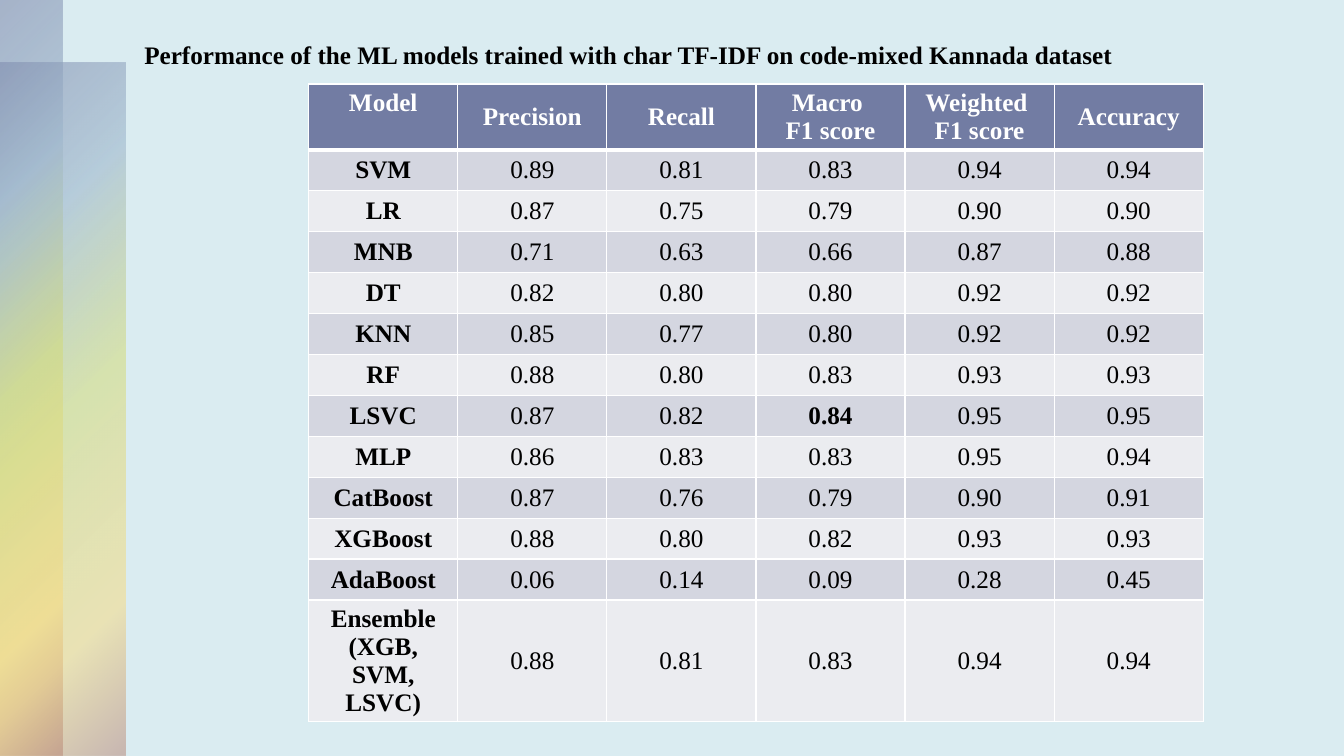
from dataclasses import dataclass
from typing import NamedTuple

from lxml import etree
from pptx import Presentation
from pptx.dml.color import RGBColor as Rgb
from pptx.enum.shapes import MSO_SHAPE as Shape
from pptx.enum.text import MSO_ANCHOR as Anchor, PP_ALIGN as Align
from pptx.oxml import parse_xml
from pptx.oxml.ns import qn
from pptx.slide import Slide
from pptx.table import _Cell as Cell
from pptx.text.text import TextFrame
from pptx.util import Emu, Pt

SCALE = 9525  # EMU in one px, 96 px to the inch
NS = "http://schemas.openxmlformats.org/drawingml/2006/main"


def px(n: int) -> Emu:
    return Emu(n * SCALE)


@dataclass(frozen=True)
class Theme:
    font: str = "Times New Roman"
    size: int = 18
    back: str = "DAECF1"
    ink: str = "000000"
    light: str = "FFFFFF"
    head: str = "727CA3"
    bands: tuple[str, str] = ("D4D6E0", "EBECF0")
    thin: int = 1
    thick: int = 3


class Box(NamedTuple):
    left: int
    top: int
    width: int
    height: int

    def emu(self) -> list[Emu]:
        return [px(n) for n in self]


class Stop(NamedTuple):
    place: int
    color: str
    alpha: int


class Bar(NamedTuple):
    box: Box
    mid: int  # place of the green stop


class Model(NamedTuple):
    name: str
    scores: str
    best: int = 0  # column set in bold


THEME = Theme()
BARS = [Bar(Box(0, 60, 119, 660), 50), Bar(Box(0, 0, 60, 720), 49)]
TITLE = "Performance of the ML models trained with char TF-IDF on code-mixed Kannada dataset"
HEADS = ["Model", "Precision", "Recall", "Macro \nF1 score", "Weighted \nF1 score", "Accuracy"]
MODELS = [
    Model("SVM", "0.89 0.81 0.83 0.94 0.94"),
    Model("LR", "0.87 0.75 0.79 0.90 0.90"),
    Model("MNB", "0.71 0.63 0.66 0.87 0.88"),
    Model("DT", "0.82 0.80 0.80 0.92 0.92"),
    Model("KNN", "0.85 0.77 0.80 0.92 0.92"),
    Model("RF", "0.88 0.80 0.83 0.93 0.93"),
    Model("LSVC", "0.87 0.82 0.84 0.95 0.95", best=3),
    Model("MLP", "0.86 0.83 0.83 0.95 0.94"),
    Model("CatBoost", "0.87 0.76 0.79 0.90 0.91"),
    Model("XGBoost", "0.88 0.80 0.82 0.93 0.93"),
    Model("AdaBoost", "0.06 0.14 0.09 0.28 0.45"),
    Model("Ensemble\n(XGB, SVM, LSVC)", "0.88 0.81 0.83 0.94 0.94"),
]
COL, ROW = 142, 39


def write(frame: TextFrame, text: str, color: str, bold: bool, align: Align) -> None:
    frame.text = text
    for para in frame.paragraphs:
        para.alignment = align
        for run in para.runs:
            font = run.font
            font.name, font.size, font.bold = THEME.font, Pt(THEME.size), bold
            font.color.rgb = Rgb.from_string(color)


def draw_bar(slide: Slide, bar: Bar) -> None:
    shape = slide.shapes.add_shape(Shape.RECTANGLE, *bar.box.emu())
    shape.shadow.inherit = False
    shape.line.fill.background()
    stops = [
        Stop(0, "727CA3", 50), Stop(25, "9FB8CD", 60), Stop(bar.mid, "D2DA7A", 55),
        Stop(81, "FADA7A", 50), Stop(99, "B88472", 50), Stop(100, "B88472", 50),
    ]
    marks = "".join(
        f'<a:gs pos="{s.place * 1000}"><a:srgbClr val="{s.color}">'
        f'<a:alpha val="{s.alpha * 1000}"/></a:srgbClr></a:gs>' for s in stops
    )
    fill = parse_xml(
        f'<a:gradFill xmlns:a="{NS}" rotWithShape="1"><a:gsLst>{marks}</a:gsLst>'
        '<a:path path="circle"><a:fillToRect r="100000" b="100000"/></a:path></a:gradFill>'
    )
    shape._element.spPr.find(qn("a:prstGeom")).addnext(fill)


def edge(cell: Cell, side: str, width: int) -> None:
    props = cell._tc.get_or_add_tcPr()
    line = etree.SubElement(props, qn(f"a:ln{side}"), w=str(Pt(width)))
    solid = etree.SubElement(line, qn("a:solidFill"))
    etree.SubElement(solid, qn("a:srgbClr"), val=THEME.light)


def draw_cell(cell: Cell, text: str, row: int, col: int, bold: bool) -> None:
    head = row == 0
    write(cell.text_frame, text, THEME.light if head else THEME.ink, bold, Align.CENTER)
    cell.vertical_anchor = Anchor.TOP if head and col == 0 else Anchor.MIDDLE
    for side in "LRTB":
        heavy = (row, side) in ((0, "B"), (1, "T"))
        edge(cell, side, THEME.thick if heavy else THEME.thin)
    cell.fill.solid()
    shade = THEME.head if head else THEME.bands[(row - 1) % 2]
    cell.fill.fore_color.rgb = Rgb.from_string(shade)


def draw_table(slide: Slide) -> None:
    rows, cols = len(MODELS) + 1, len(HEADS)
    box = Box(294, 80, cols * COL, rows * ROW)
    table = slide.shapes.add_table(rows, cols, *box.emu()).table
    for col, text in enumerate(HEADS):
        draw_cell(table.cell(0, col), text, 0, col, True)
    for row, model in enumerate(MODELS, 1):
        for col, text in enumerate([model.name, *model.scores.split()]):
            draw_cell(table.cell(row, col), text, row, col, col in (0, model.best))


def draw_title(slide: Slide) -> None:
    frame = slide.shapes.add_textbox(*Box(128, 33, 1152, 38).emu()).text_frame
    frame.word_wrap = True
    write(frame, TITLE, THEME.ink, True, Align.LEFT)


def main() -> None:
    deck = Presentation()
    deck.slide_width, deck.slide_height = px(1280), px(720)
    slide = deck.slides.add_slide(deck.slide_layouts[6])

    # Background and side bars
    back = slide.background.fill
    back.solid()
    back.fore_color.rgb = Rgb.from_string(THEME.back)
    for bar in BARS:
        draw_bar(slide, bar)

    # Scores and heading
    draw_table(slide)
    draw_title(slide)
    deck.save("out.pptx")


if __name__ == "__main__":
    main()
